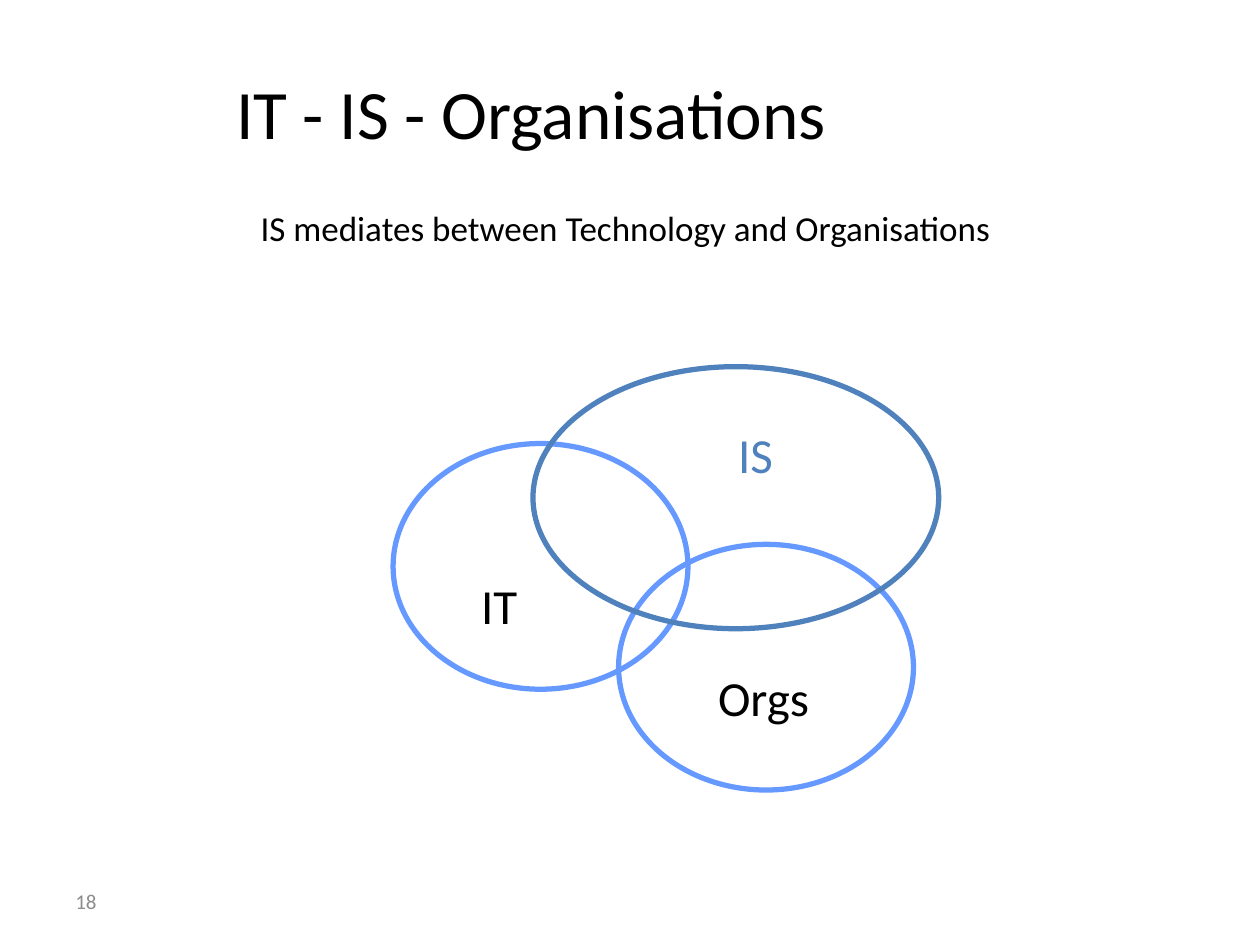
from dataclasses import dataclass

from pptx import Presentation
from pptx.dml.color import RGBColor
from pptx.enum.shapes import MSO_SHAPE
from pptx.enum.text import MSO_ANCHOR, PP_ALIGN
from pptx.util import Inches, Pt

BLACK, GREY = "000000", "8C8C8C"
LIGHT, BLUE = "6699FF", "4F81BD"


@dataclass
class Box:
    left: float
    top: float
    width: float
    height: float

    def lengths(self) -> list:
        return [Inches(n) for n in (self.left, self.top, self.width, self.height)]


@dataclass
class Label:
    text: str
    box: Box
    size: float
    color: str = BLACK
    align: PP_ALIGN = PP_ALIGN.LEFT
    anchor: MSO_ANCHOR = MSO_ANCHOR.TOP
    wrap: bool = True


@dataclass
class Ring:
    box: Box
    color: str


RINGS = [
    Ring(Box(3.12, 3.52, 2.34, 1.95), LIGHT),
    Ring(Box(4.91, 4.32, 2.34, 1.95), LIGHT),
    Ring(Box(4.23, 2.91, 3.22, 2.08), BLUE),
]
LABELS = [
    Label("IT - IS - Organisations", Box(0.46, 0.5, 7.51, 0.77), 39.6,
          align=PP_ALIGN.CENTER, anchor=MSO_ANCHOR.MIDDLE),
    Label("IS mediates between Technology and Organisations ",
          Box(0.45, 1.59, 9.09, 4.99), 20, align=PP_ALIGN.CENTER),
    Label("IT", Box(3.72, 4.52, 0.55, 0.57), 28, wrap=False),
    Label("Orgs", Box(5.6, 5.25, 1.11, 0.57), 28, wrap=False),
    Label("IS", Box(5.76, 3.32, 0.57, 0.57), 28, BLUE, wrap=False),
    Label("18", Box(0.5, 6.95, 2.33, 0.4), 12, GREY, anchor=MSO_ANCHOR.MIDDLE),
]


def paint(target, color: str) -> None:
    """Set the colour of a font or line from a hex string."""
    target.fill.solid()
    target.fill.fore_color.rgb = RGBColor.from_string(color)


def draw_ring(slide, ring: Ring) -> None:
    shape = slide.shapes.add_shape(MSO_SHAPE.OVAL, *ring.box.lengths())
    shape.shadow.inherit = False
    shape.fill.background()
    paint(shape.line, ring.color)
    shape.line.width = Pt(3)


def draw_label(slide, label: Label) -> None:
    frame = slide.shapes.add_textbox(*label.box.lengths()).text_frame
    frame.word_wrap = label.wrap
    frame.vertical_anchor = label.anchor
    para = frame.paragraphs[0]
    para.alignment = label.align
    run = para.add_run()
    run.text = label.text
    run.font.name = "Calibri"
    run.font.size = Pt(label.size)
    paint(run.font, label.color)


def main() -> None:
    deck = Presentation()
    deck.slide_width, deck.slide_height = Inches(10), Inches(7.5)
    slide = deck.slides.add_slide(deck.slide_layouts[6])
    for ring in RINGS:
        draw_ring(slide, ring)
    for label in LABELS:
        draw_label(slide, label)
    deck.save("out.pptx")


if __name__ == "__main__":
    main()
